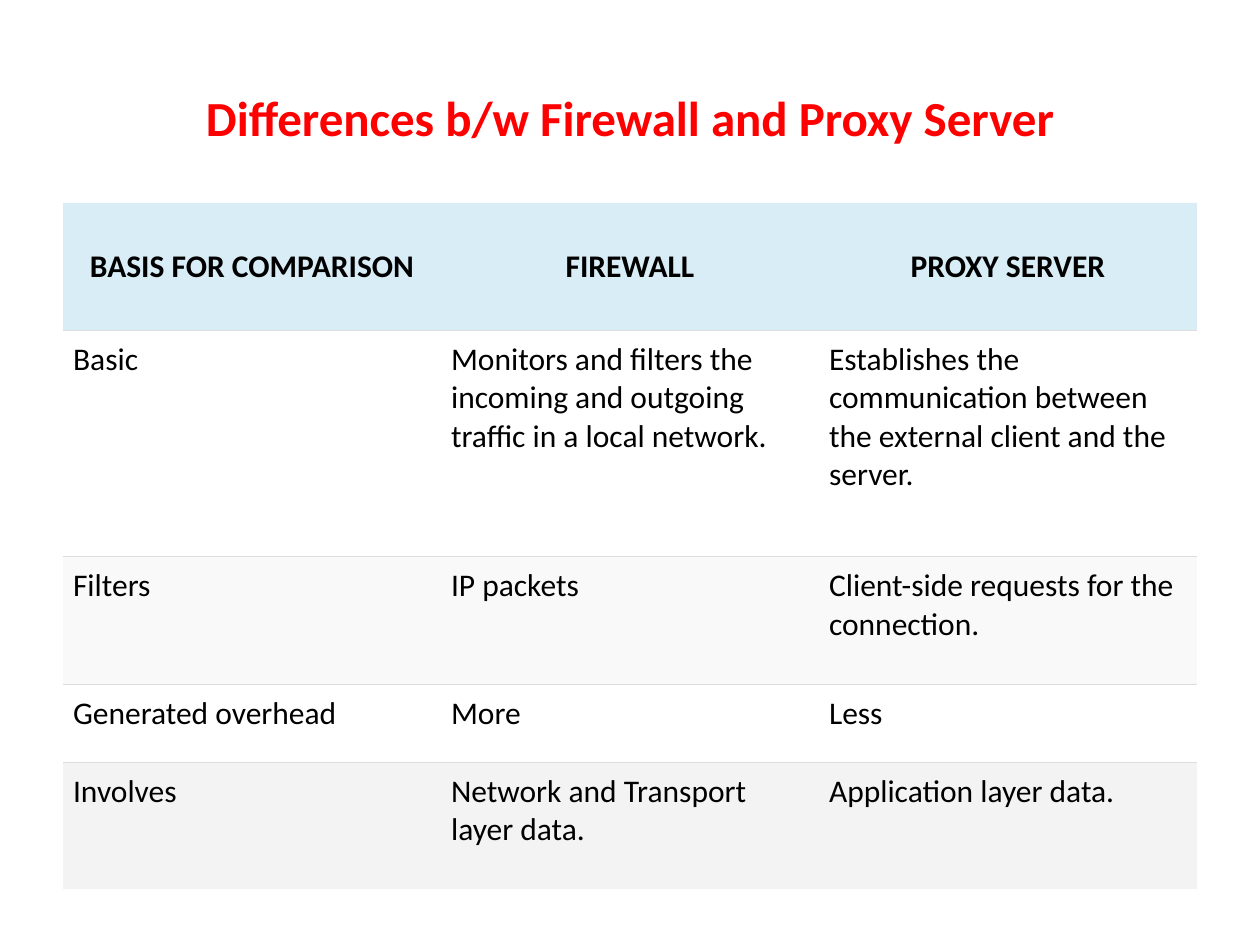
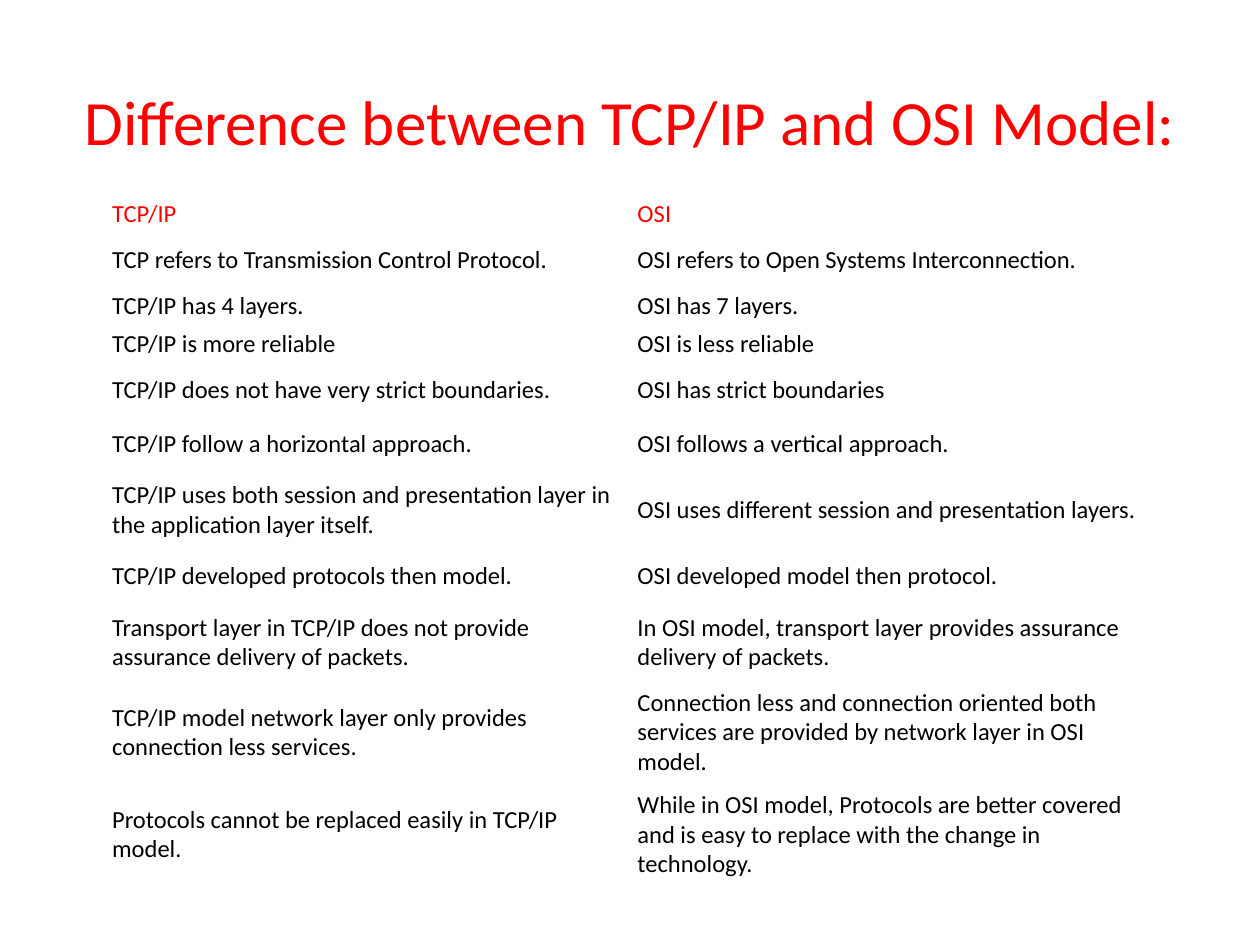
"""Build two comparison slides: firewall and proxy server, TCP/IP and OSI."""
import lxml.etree
import pptx
import pptx.dml.color
import pptx.enum.text
import pptx.oxml.ns
import pptx.util

PX = 9144
FONT = "Calibri"
RED, BLACK, WHITE, RULE = "FF0000", "000000", "FFFFFF", "DDDDDD"
NO_GRID_STYLE = "{2D5ABB26-0587-4C30-8999-92F81FD0307C}"
MIDDLE = pptx.enum.text.MSO_ANCHOR.MIDDLE
TOP = pptx.enum.text.MSO_ANCHOR.TOP
CENTER = pptx.enum.text.PP_ALIGN.CENTER
LEFT = pptx.enum.text.PP_ALIGN.LEFT


def color(value):
    return pptx.dml.color.RGBColor.from_string(value)


def write(frame, text, size, ink, bold, align):
    frame.text = text
    para = frame.paragraphs[0]
    para.alignment = align
    font = para.runs[0].font
    font.name, font.size, font.bold = FONT, pptx.util.Pt(size), bold
    font.color.rgb = color(ink)


firewall = {
    "title": "Differences b/w Firewall and Proxy Server",
    "title_size": 28, "title_bold": True, "title_drop": 5,
    "left": 50, "top": 161, "column_width": 300,
    "heights": [101, 180, 101, 62, 101],
    "size": 18, "margins": (8, 8),
    "header_ink": BLACK, "header_bold": True, "header_align": CENTER,
    "body_anchor": TOP, "ruled": True,
    "fills": ["D9EDF7", WHITE, "F9F9F9", WHITE, "F3F3F3"],
    "rows": [
        ("BASIS FOR COMPARISON", "FIREWALL", "PROXY SERVER"),
        ("Basic",
         "Monitors and filters the incoming and outgoing traffic in a local network.",
         "Establishes the communication between the external client and the server."),
        ("Filters", "IP packets", "Client-side requests for the connection."),
        ("Generated overhead", "More", "Less"),
        ("Involves", "Network and Transport layer data.", "Application layer data."),
    ],
}

models = {
    "title": "Difference between TCP/IP and OSI Model:",
    "title_size": 36, "title_bold": False, "title_drop": 11,
    "left": 83, "top": 155, "column_width": 417,
    "heights": [30, 43, 30, 30, 43, 43, 62, 43, 62, 81, 81],
    "size": 14, "margins": (6, 3),
    "header_ink": RED, "header_bold": False, "header_align": LEFT,
    "body_anchor": MIDDLE, "ruled": False,
    "fills": [None] * 11,
    "rows": [
        ("TCP/IP", "OSI"),
        ("TCP refers to Transmission Control Protocol.",
         "OSI refers to Open Systems Interconnection."),
        ("TCP/IP has 4 layers.", "OSI has 7 layers."),
        ("TCP/IP is more reliable", "OSI is less reliable"),
        ("TCP/IP does not have very strict boundaries.", "OSI has strict boundaries"),
        ("TCP/IP follow a horizontal approach.", "OSI follows a vertical approach."),
        ("TCP/IP uses both session and presentation layer in the application layer itself.",
         "OSI uses different session and presentation layers."),
        ("TCP/IP developed protocols then model.", "OSI developed model then protocol."),
        ("Transport layer in TCP/IP does not provide assurance delivery of packets.",
         "In OSI model, transport layer provides assurance delivery of packets."),
        ("TCP/IP model network layer only provides connection less services.",
         "Connection less and connection oriented both services are provided by "
         "network layer in OSI model."),
        ("Protocols cannot be replaced easily in TCP/IP model.",
         "While in OSI model, Protocols are better covered and is easy to replace "
         "with the change in technology."),
    ],
}

deck = pptx.Presentation()
deck.slide_width, deck.slide_height = 1000 * PX, 750 * PX

for page in (firewall, models):
    slide = deck.slides.add_slide(deck.slide_layouts[5])
    slide.background.fill.solid()
    slide.background.fill.fore_color.rgb = color(WHITE)

    title = slide.shapes.title
    title.left, title.top, title.width, title.height = 50 * PX, 30 * PX, 900 * PX, 125 * PX
    frame = title.text_frame
    frame.word_wrap = True
    frame.auto_size = pptx.enum.text.MSO_AUTO_SIZE.NONE
    frame.vertical_anchor = MIDDLE
    frame.margin_top, frame.margin_bottom = page["title_drop"] * PX, 5 * PX
    write(frame, page["title"], page["title_size"], RED, page["title_bold"], CENTER)

    rows, heights = page["rows"], page["heights"]
    column_count = len(rows[0])
    holder = slide.shapes.add_table(
        len(rows), column_count, page["left"] * PX, page["top"] * PX,
        column_count * page["column_width"] * PX, sum(heights) * PX)
    table = holder.table
    table.first_row = table.horz_banding = False
    style = holder._element.find(".//" + pptx.oxml.ns.qn("a:tableStyleId"))
    style.text = NO_GRID_STYLE
    for column in table.columns:
        column.width = page["column_width"] * PX

    for row_index, texts in enumerate(rows):
        table.rows[row_index].height = heights[row_index] * PX
        is_header = row_index == 0
        fill = page["fills"][row_index]
        for column_index, text in enumerate(texts):
            cell = table.cell(row_index, column_index)
            across, down = page["margins"]
            cell.margin_left = cell.margin_right = across * PX
            cell.margin_top = cell.margin_bottom = down * PX
            cell.vertical_anchor = MIDDLE if is_header else page["body_anchor"]
            write(cell.text_frame, text, page["size"],
                  page["header_ink"] if is_header else BLACK,
                  page["header_bold"] and is_header,
                  page["header_align"] if is_header else LEFT)
            edges = [("a:lnT", not is_header), ("a:lnB", row_index < len(rows) - 1)]
            for tag, inside in edges:
                if page["ruled"] and inside:
                    line = lxml.etree.SubElement(
                        cell._tc.get_or_add_tcPr(), pptx.oxml.ns.qn(tag), w="9525")
                    solid = lxml.etree.SubElement(line, pptx.oxml.ns.qn("a:solidFill"))
                    lxml.etree.SubElement(solid, pptx.oxml.ns.qn("a:srgbClr"), val=RULE)
            if fill:
                cell.fill.solid()
                cell.fill.fore_color.rgb = color(fill)
            else:
                cell.fill.background()

deck.save("out.pptx")
